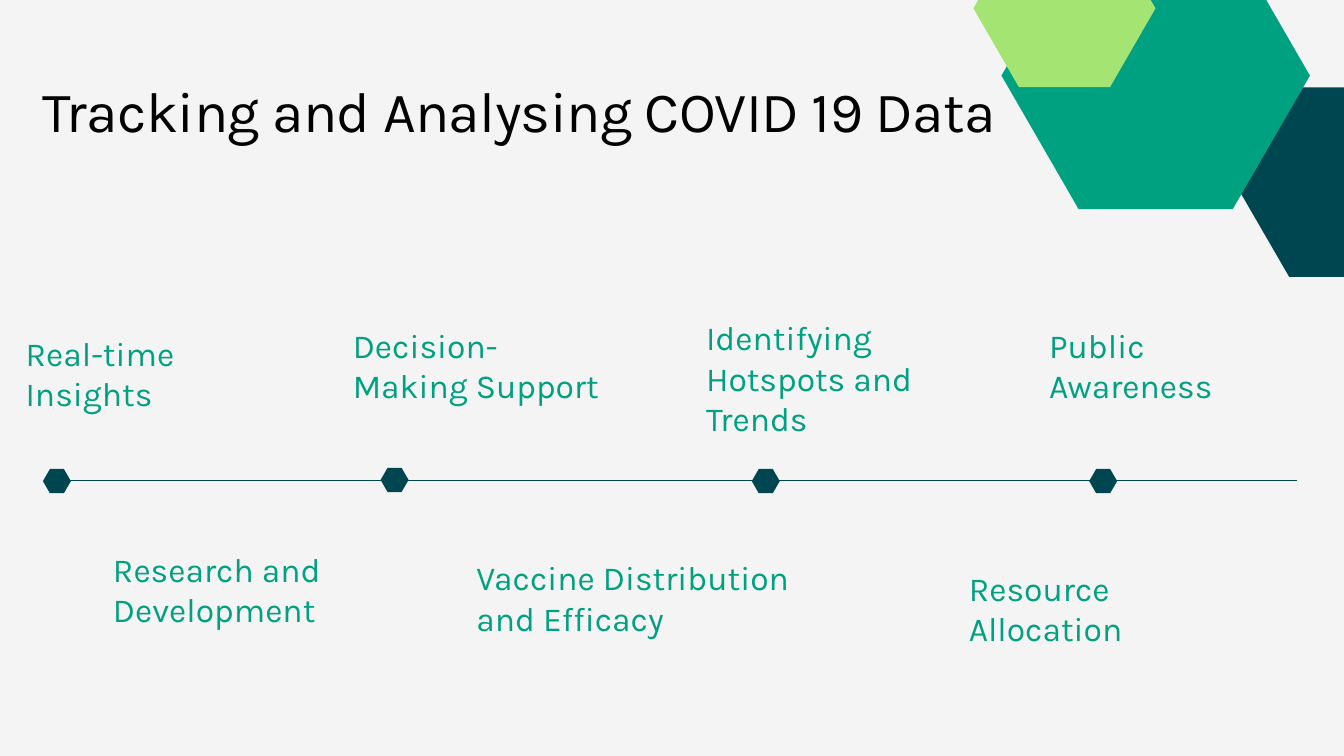
"""Build a timeline slide about tracking and analysing COVID 19 data."""
from pptx import Presentation
from pptx.dml.color import RGBColor
from pptx.enum.shapes import MSO_CONNECTOR, MSO_SHAPE
from pptx.enum.text import MSO_ANCHOR, MSO_AUTO_SIZE, PP_ALIGN
from pptx.oxml.ns import qn
from pptx.util import Pt

HEXAGON = MSO_SHAPE.HEXAGON
STRAIGHT = MSO_CONNECTOR.STRAIGHT
TOP = MSO_ANCHOR.TOP
NO_AUTOFIT = MSO_AUTO_SIZE.NONE
LEFT = PP_ALIGN.LEFT

DARK, GREEN, LIME = "004651", "00A181", "A4E473"
FRAME_FORMAT = {
    "margin_left": 0, "margin_top": 0, "margin_right": 0, "margin_bottom": 0,
    "word_wrap": True, "auto_size": NO_AUTOFIT, "vertical_anchor": TOP,
}


def color(hex_string):
    """Return the colour for a hex string."""
    return RGBColor.from_string(hex_string)


def write(shape, text, size, line_spacing, hex_string):
    """Put formatted text into a shape and return its run."""
    frame = shape.text_frame
    for name, value in FRAME_FORMAT.items():
        setattr(frame, name, value)
    paragraph = frame.paragraphs[0]
    paragraph.alignment = LEFT
    paragraph.line_spacing = Pt(line_spacing)
    run = paragraph.add_run()
    run.text = text
    for name, value in {"size": Pt(size), "name": "Karla"}.items():
        setattr(run.font, name, value)
    run.font.color.rgb = color(hex_string)
    return run


presentation = Presentation()
presentation.slide_width, presentation.slide_height = Pt(1440), Pt(810)
slide = presentation.slides.add_slide(presentation.slide_layouts[5])
slide.background.fill.solid()
slide.background.fill.fore_color.rgb = color("F4F4F4")

title = slide.shapes.title
title.left, title.top, title.width, title.height = Pt(46), Pt(81.2), Pt(1048), Pt(73)
title_run = write(title, "Tracking and Analysing COVID 19 Data", 61, 73.3, "000000")
title_run.font._element.set("spc", "-60")

timeline = slide.shapes.add_connector(STRAIGHT, Pt(50), Pt(514.8), Pt(1390), Pt(514.8))
timeline.line.color.rgb = color(DARK)
timeline.line.width = Pt(1.5)
timeline._element.spPr.append(timeline._element.spPr.makeelement(qn("a:effectLst"), {}))

markers = [(left, top, 30, 26, DARK)
           for left, top in [(46, 502.5), (407.8, 501.2), (805.5, 502.5), (1167, 502.5)]]
corner_hexagons = [
    (1322.5, 93.6, 235, 203, DARK),
    (1073, -62, 330.5, 286, GREEN),
    (1043, -75.5, 195, 169, LIME),
]
for left, top, width, height, fill in markers + corner_hexagons:
    hexagon = slide.shapes.add_shape(HEXAGON, Pt(left), Pt(top), Pt(width), Pt(height))
    hexagon.adjustments[0] = width / 4 / height
    hexagon.shadow.inherit = False
    hexagon.fill.solid()
    hexagon.fill.fore_color.rgb = color(fill)
    hexagon.line.fill.background()

labels = [
    ("Real-time Insights", 27.4, 356.4, 287, 2),
    ("Decision-Making Support", 378, 348, 265, 2),
    ("Identifying Hotspots and Trends", 756.5, 340, 265, 3),
    ("Public Awareness", 1124, 348, 265, 2),
    ("Research and Development", 121, 588, 287, 2),
    ("Vaccine Distribution and Efficacy", 510.5, 597, 352, 2),
    ("Resource Allocation", 1038, 608.4, 287, 2),
]
for text, left, top, width, lines in labels:
    label = slide.shapes.add_textbox(Pt(left), Pt(top), Pt(width), Pt(43.2 * lines))
    write(label, text, 36, 43.2, GREEN)

presentation.save("out.pptx")
